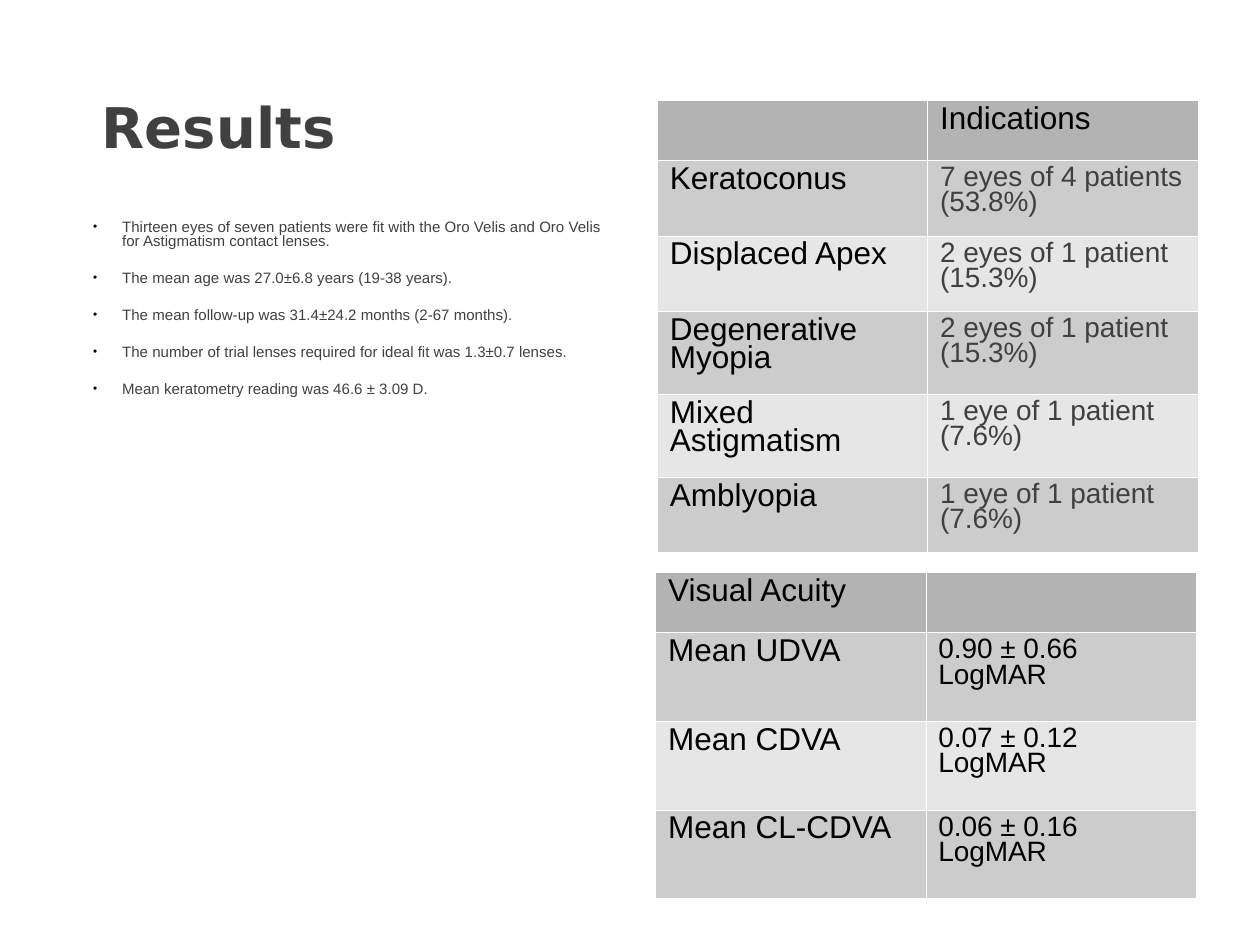
from dataclasses import dataclass

from lxml import etree
from pptx import Presentation
from pptx.dml.color import RGBColor
from pptx.enum.text import MSO_ANCHOR, MSO_AUTO_SIZE, PP_ALIGN
from pptx.oxml.ns import qn
from pptx.util import Pt

LEFT = PP_ALIGN.LEFT
TOP = MSO_ANCHOR.TOP
NO_FIT = MSO_AUTO_SIZE.NONE


@dataclass(frozen=True)
class Theme:
    head_font: str = "DejaVu Sans"
    font: str = "Arial"
    gray: str = "404040"
    black: str = "000000"
    rule: str = "FFFFFF"
    head_fill: str = "B3B3B3"
    bands: tuple = ("CCCCCC", "E6E6E6")
    title: float = 32
    body: float = 8.6
    label: float = 18
    value: float = 16


THEME = Theme()

POINTS = [
    "Thirteen eyes of seven patients were fit with the Oro Velis and Oro Velis "
    "for Astigmatism contact lenses.",
    "The mean age was 27.0±6.8 years (19-38 years).",
    "The mean follow-up was 31.4±24.2 months (2-67 months).",
    "The number of trial lenses required for ideal fit was 1.3±0.7 lenses.",
    "Mean keratometry reading was 46.6 ± 3.09 D.",
]

ACUITY = [
    ("Visual Acuity", ""),
    ("Mean UDVA", "0.90 ± 0.66 LogMAR"),
    ("Mean CDVA", "0.07 ± 0.12 LogMAR"),
    ("Mean CL-CDVA", "0.06 ± 0.16 LogMAR"),
]

CASES = [
    ("", "Indications"),
    ("Keratoconus", "7 eyes of 4 patients (53.8%)"),
    ("Displaced Apex", "2 eyes of 1 patient (15.3%)"),
    ("Degenerative Myopia", "2 eyes of 1 patient (15.3%)"),
    ("Mixed Astigmatism", "1 eye of 1 patient (7.6%)"),
    ("Amblyopia", "1 eye of 1 patient (7.6%)"),
]


def style(para, size, color, font=THEME.font, bold=False):
    para.font.size = Pt(size)
    para.font.name = font
    para.font.bold = bold
    para.font.color.rgb = RGBColor.from_string(color)


def place(shape, x, y, w, h):
    shape.left, shape.top, shape.width, shape.height = map(Pt, (x, y, w, h))
    frame = shape.text_frame
    frame.auto_size = NO_FIT
    frame.vertical_anchor = TOP
    return frame


def add_tag(node, tag, **attrs):
    return etree.SubElement(node, qn(tag), attrs)


def add_bullet(para):
    props = para._p.get_or_add_pPr()
    props.set("marL", str(Pt(16.6)))
    props.set("indent", str(-Pt(16.6)))
    add_tag(add_tag(props, "a:buClr"), "a:srgbClr", val=THEME.black)
    add_tag(props, "a:buSzPct", val="78000")
    add_tag(props, "a:buFont", typeface=THEME.font)
    add_tag(props, "a:buChar", char="•")


def set_title(shape, text):
    frame = place(shape, 51, 49, 604, 73.4)
    frame.text = text
    para = frame.paragraphs[0]
    para.alignment = LEFT
    style(para, THEME.title, THEME.gray, THEME.head_font, True)


def set_list(shape, items):
    frame = place(shape, 46, 122.4, 309, 129.6)
    frame.text = "\n".join(items)
    for para in frame.paragraphs:
        add_bullet(para)
        para.line_spacing = 0.8
        para.space_before = Pt(0)
        para.space_after = Pt(12.9)
        style(para, THEME.body, THEME.gray)


def add_rules(cell):
    props = cell._tc.get_or_add_tcPr()
    for side in ("a:lnL", "a:lnR", "a:lnT", "a:lnB"):
        line = add_tag(props, side, w=str(Pt(0.06)))
        add_tag(add_tag(line, "a:solidFill"), "a:srgbClr", val=THEME.rule)


def fill_cell(cell, text, fill, size, color):
    add_rules(cell)
    cell.fill.solid()
    cell.fill.fore_color.rgb = RGBColor.from_string(fill)
    cell.text = text
    para = cell.text_frame.paragraphs[0]
    para.line_spacing = 0.81
    style(para, size, color)


def draw_table(slide, x, y, rows, heights, color):
    width = 154.4
    frame = slide.shapes.add_table(
        len(rows), 2, Pt(x), Pt(y), Pt(2 * width), Pt(sum(heights)))
    table = frame.table
    table.first_row = table.horz_banding = False
    for col in table.columns:
        col.width = Pt(width)
    for r, (texts, height) in enumerate(zip(rows, heights)):
        table.rows[r].height = Pt(height)
        fill = THEME.bands[(r - 1) % 2] if r else THEME.head_fill
        for c, text in enumerate(texts):
            value = r > 0 and c == 1
            fill_cell(table.cell(r, c), text, fill,
                      THEME.value if value else THEME.label,
                      color if value else THEME.black)


def main():
    deck = Presentation()
    deck.slide_width, deck.slide_height = Pt(720), Pt(540)
    slide = deck.slides.add_slide(deck.slide_layouts[1])

    # Title and findings
    set_title(slide.shapes.title, "Results")
    set_list(slide.placeholders[1], POINTS)

    # Acuity below, indications above
    draw_table(slide, 374.6, 327, ACUITY, [34.4] + [50.7] * 3, THEME.black)
    draw_table(slide, 375.6, 57.2, CASES,
               [34.4, 43.1, 43.1, 47.4, 47.4, 43.1], THEME.gray)

    deck.save("out.pptx")


if __name__ == "__main__":
    main()
